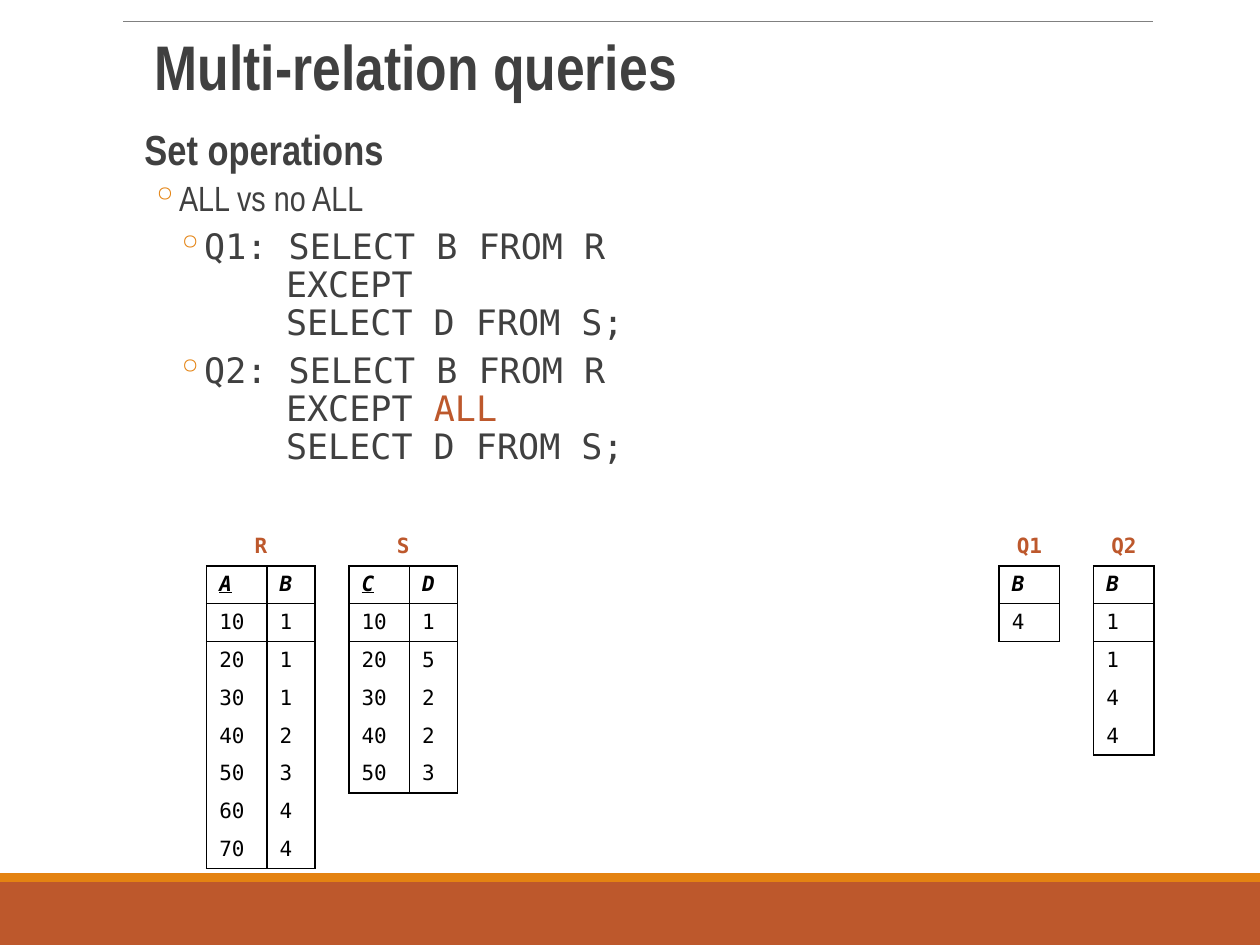
"""Build a slide on SQL set operations with and without ALL."""
from lxml import etree
from pptx import Presentation
from pptx.dml.color import RGBColor
from pptx.enum import shapes, text
from pptx.oxml import ns
from pptx.util import Inches, Pt

RUST = RGBColor(0xBD, 0x58, 0x2C)
ORANGE = RGBColor(0xE4, 0x83, 0x12)
GRAY = RGBColor(0x80, 0x80, 0x80)
DARK = RGBColor(0x40, 0x40, 0x40)
BLACK = RGBColor(0, 0, 0)
SANS, MONO = "Arial Narrow", "DejaVu Sans Mono"

HEADING = dict(level=0, left=0.1, hang=0.1, before=12, after=2, bullet=" ")
POINT = dict(level=1, left=0.42, hang=0.2, before=2, after=4, bullet="◦")
CODE = dict(POINT, level=2, left=0.62)
BODY = [
    (HEADING, SANS, 36, True, [[("Multi-relation queries", DARK)]]),
    (HEADING, SANS, 24, True, [[("Set operations", DARK)]]),
    (POINT, SANS, 20, False, [[("ALL vs no ALL", DARK)]]),
    (CODE, MONO, 20, False, [
        [("Q1: SELECT B FROM R", DARK)],
        [("    EXCEPT", DARK)],
        [("    SELECT D FROM S;", DARK)]]),
    (CODE, MONO, 20, False, [
        [("Q2: SELECT B FROM R", DARK)],
        [("    EXCEPT ", DARK), ("ALL", RUST)],
        [("    SELECT D FROM S;", DARK)]]),
]

RELATIONS = [
    ("Q2", 8.68, None, ["B"], [[1], [1], [4], [4]]),
    ("R", 1.64, "A", ["A", "B"],
     [[10, 1], [20, 1], [30, 1], [40, 2], [50, 3], [60, 4], [70, 4]]),
    ("Q1", 7.93, None, ["B"], [[4]]),
    ("S", 2.77, "C", ["C", "D"],
     [[10, 1], [20, 5], [30, 2], [40, 2], [50, 3]]),
]
TABLE_TOP, ROW_HEIGHT, COLUMN_WIDTHS = 4.19, 0.3, (0.48, 0.38)
PLAIN_TABLE = "{2D5ABB26-0587-4C30-8999-92F81FD0307C}"


def add_span(para, words, font, size, color, bold=False, italic=False, underline=False):
    span = para.add_run()
    span.text = words
    span.font.name, span.font.size = font, Pt(size)
    span.font.bold, span.font.italic, span.font.underline = bold, italic, underline
    span.font.color.rgb = color


def add_bar(page, top, height, color):
    bar = page.shapes.add_shape(
        shapes.MSO_SHAPE.RECTANGLE, 0, Inches(top), Inches(10), Inches(height))
    bar.shadow.inherit = False
    bar.fill.solid()
    bar.fill.fore_color.rgb = color
    bar.line.fill.background()


def add_rule(page):
    rule = page.shapes.add_connector(
        shapes.MSO_CONNECTOR.STRAIGHT,
        Inches(0.98), Inches(0.17), Inches(9.15), Inches(0.17))
    rule.line.color.rgb = GRAY
    rule.line.width = Pt(0.5)
    etree.SubElement(rule._element.spPr, ns.qn("a:effectLst"))


def set_bullet(para, left, hang, bullet):
    props = para._p.get_or_add_pPr()
    props.set("marL", str(Inches(left)))
    props.set("indent", str(-Inches(hang)))
    color = etree.SubElement(props, ns.qn("a:buClr"))
    etree.SubElement(color, ns.qn("a:srgbClr"), val=str(ORANGE))
    etree.SubElement(props, ns.qn("a:buChar"), char=bullet)


def add_body(page):
    box = page.shapes.add_textbox(Inches(0.98), Inches(0.24), Inches(8.18), Inches(6.65))
    frame = box.text_frame
    frame.word_wrap = True
    frame.margin_left = frame.margin_right = 0
    for index, (style, font, size, bold, lines) in enumerate(BODY):
        para = frame.add_paragraph() if index else frame.paragraphs[0]
        para.level = style["level"]
        para.line_spacing = 0.9
        para.space_before = Pt(style["before"] if index else 0)
        para.space_after = Pt(style["after"])
        set_bullet(para, style["left"], style["hang"], style["bullet"])
        for number, line in enumerate(lines):
            if number:
                para.add_line_break()
            for words, color in line:
                add_span(para, words, font, size, color, bold)


def set_borders(cell, sides):
    props = cell._tc.get_or_add_tcPr()
    for index, side in enumerate("LRTB"):
        edge = etree.Element(ns.qn("a:ln" + side), w=str(Pt(1)))
        if side in sides:
            fill = etree.SubElement(edge, ns.qn("a:solidFill"))
            etree.SubElement(fill, ns.qn("a:srgbClr"), val=str(BLACK))
        else:
            etree.SubElement(edge, ns.qn("a:noFill"))
        props.insert(index, edge)


def add_relation(page, name, left, key, header, records):
    widths = COLUMN_WIDTHS[:len(header)]
    grid = [[name] + [""] * (len(header) - 1), header] + records
    table = page.shapes.add_table(
        len(grid), len(header), Inches(left), Inches(TABLE_TOP),
        Inches(sum(widths)), Inches(ROW_HEIGHT * len(grid))).table
    table._tbl.tblPr.find(ns.qn("a:tableStyleId")).text = PLAIN_TABLE
    table.first_row = table.horz_banding = False
    for column, width in zip(table.columns, widths):
        column.width = Inches(width)
    if len(header) > 1:
        table.cell(0, 0).merge(table.cell(0, len(header) - 1))
    edges = {0: "B", 1: "LRTB", 2: "LRTB", 3: "LRT"}
    for row, values in enumerate(grid):
        table.rows[row].height = Inches(ROW_HEIGHT)
        sides = edges.get(row, "LR") + ("B" if row == len(grid) - 1 else "")
        for column, value in enumerate(values):
            cell = table.cell(row, column)
            cell.fill.background()
            set_borders(cell, sides)
            if value == "":
                continue
            para = cell.text_frame.paragraphs[0]
            if row == 0:
                para.alignment = text.PP_ALIGN.CENTER
            add_span(para, str(value), MONO, 12, BLACK if row else RUST,
                     bold=row < 2, italic=row == 1, underline=value == key)


def main():
    deck = Presentation()
    deck.slide_width, deck.slide_height = Inches(10), Inches(7.5)
    page = deck.slides.add_slide(deck.slide_layouts[6])
    add_bar(page, 7, 0.5, RUST)
    add_bar(page, 6.93, 0.07, ORANGE)
    add_rule(page)
    add_body(page)
    for relation in RELATIONS:
        add_relation(page, *relation)
    deck.save("out.pptx")


if __name__ == "__main__":
    main()
